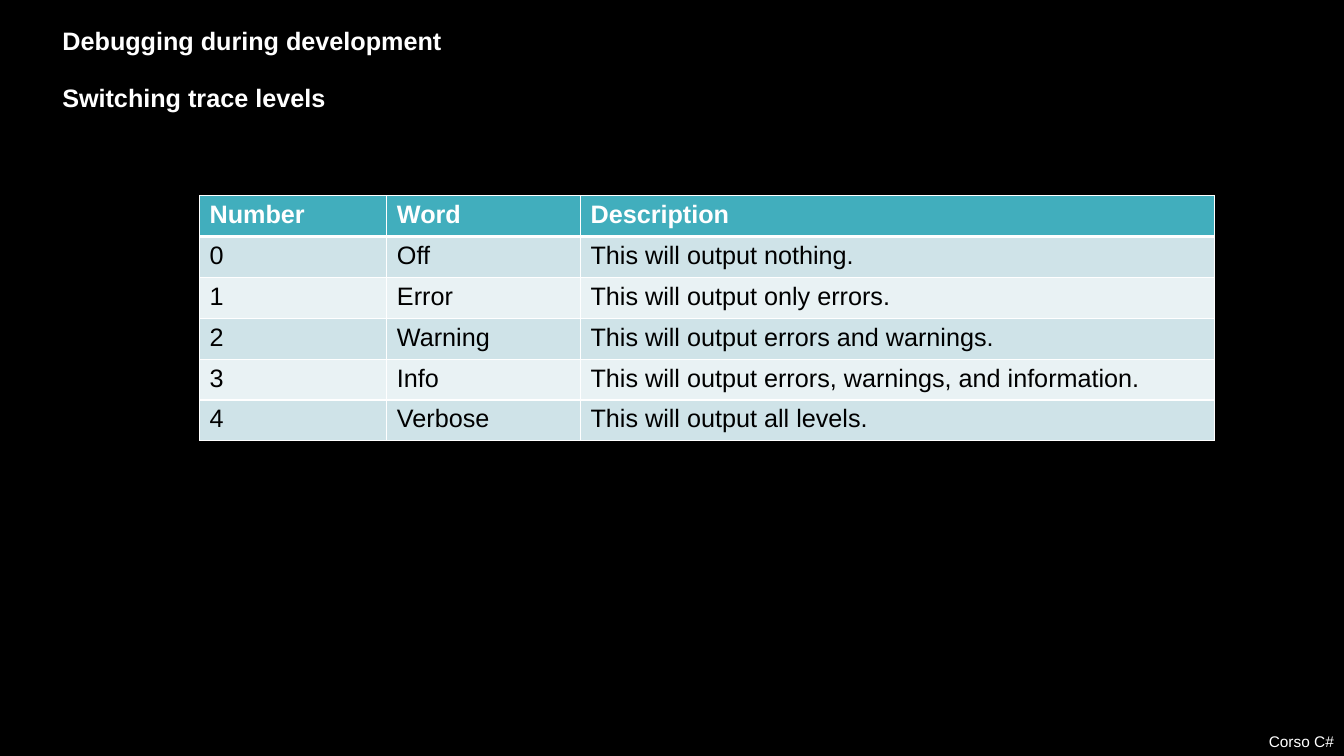
from lxml import etree
from pptx import Presentation
from pptx import util as u
from pptx.dml.color import RGBColor
from pptx.enum import text
from pptx.oxml import ns

FONT = "Arial"
COLORS = {"background": "000000", "light": "FFFFFF", "dark": "000000",
          "header": "41AEBD", "odd": "CFE3E8", "even": "E9F2F4"}

TITLE = "Debugging during development"
SUBTITLE = "Switching trace levels"
FOOTER = "Corso C#"
HEADINGS = ("Number", "Word", "Description")
LEVELS = [
    ("Off", "This will output nothing."),
    ("Error", "This will output only errors."),
    ("Warning", "This will output errors and warnings."),
    ("Info", "This will output errors, warnings, and information."),
    ("Verbose", "This will output all levels."),
]

# Lengths in centimetres
SLIDE_W, SLIDE_H = 33.87, 19.05
MARGIN, LINE_H = 1.32, 1.02
TABLE_LEFT, TABLE_TOP = 5.03, 4.93
COLUMN_WIDTHS = (4.72, 4.88, 15.98)
ROW_H = 1.03


def rgb(name):
    """Return the named colour."""
    return RGBColor.from_string(COLORS[name])


def write(tf, words, color="light", size=18, bold=False, align=text.PP_ALIGN.LEFT):
    """Add one formatted run to the first paragraph of a text frame."""
    p = tf.paragraphs[0]
    p.alignment = align
    r = p.add_run()
    r.text = words
    r.font.name, r.font.size, r.font.bold = FONT, u.Pt(size), bold
    r.font.color.rgb = rgb(color)


def place(sp, left, top, width, height):
    """Position a text shape and set its frame to wrap from the top."""
    sp.left, sp.top, sp.width, sp.height = map(u.Cm, (left, top, width, height))
    tf = sp.text_frame
    tf.word_wrap = True
    tf.auto_size = text.MSO_AUTO_SIZE.NONE
    tf.vertical_anchor = text.MSO_ANCHOR.TOP
    return tf


def add_borders(cell, widths):
    """Draw cell borders, given a width in points for each side."""
    tc_pr = cell._tc.get_or_add_tcPr()
    for side, width in widths.items():
        ln = etree.SubElement(tc_pr, ns.qn(f"a:ln{side}"), w=str(u.Pt(width)))
        fill = etree.SubElement(ln, ns.qn("a:solidFill"))
        etree.SubElement(fill, ns.qn("a:srgbClr"), val=COLORS["light"])


def add_levels_table(s):
    """Add the table of trace levels, numbered from zero."""
    rows = [HEADINGS] + [(str(i), *level) for i, level in enumerate(LEVELS)]
    table = s.shapes.add_table(
        len(rows), len(HEADINGS), u.Cm(TABLE_LEFT), u.Cm(TABLE_TOP),
        u.Cm(sum(COLUMN_WIDTHS)), u.Cm(ROW_H * len(rows))).table
    for column, width in zip(table.columns, COLUMN_WIDTHS):
        column.width = u.Cm(width)
    for i, row in enumerate(rows):
        table.rows[i].height = u.Cm(ROW_H)
        header = i == 0
        band = "header" if header else ("even", "odd")[i % 2]
        widths = {"L": 1, "R": 1, "T": 3 if i == 1 else 1, "B": 3 if header else 1}
        for j, words in enumerate(row):
            cell = table.cell(i, j)
            add_borders(cell, widths)
            cell.fill.solid()
            cell.fill.fore_color.rgb = rgb(band)
            write(cell.text_frame, words, "light" if header else "dark", bold=header)


prs = Presentation()
prs.slide_width, prs.slide_height = u.Cm(SLIDE_W), u.Cm(SLIDE_H)
s = prs.slides.add_slide(prs.slide_layouts[5])
s.background.fill.solid()
s.background.fill.fore_color.rgb = rgb("background")

footer = s.shapes.add_textbox(0, 0, 0, 0)
write(place(footer, 0, 18.33, SLIDE_W, 0.73), FOOTER, size=11,
      align=text.PP_ALIGN.RIGHT)

subtitle = s.shapes.add_textbox(0, 0, 0, 0)
for sp, words, top in ((s.shapes.title, TITLE, 0.5), (subtitle, SUBTITLE, 1.96)):
    write(place(sp, MARGIN, top, 29.03, LINE_H), words, bold=True)

add_levels_table(s)
prs.save("out.pptx")
